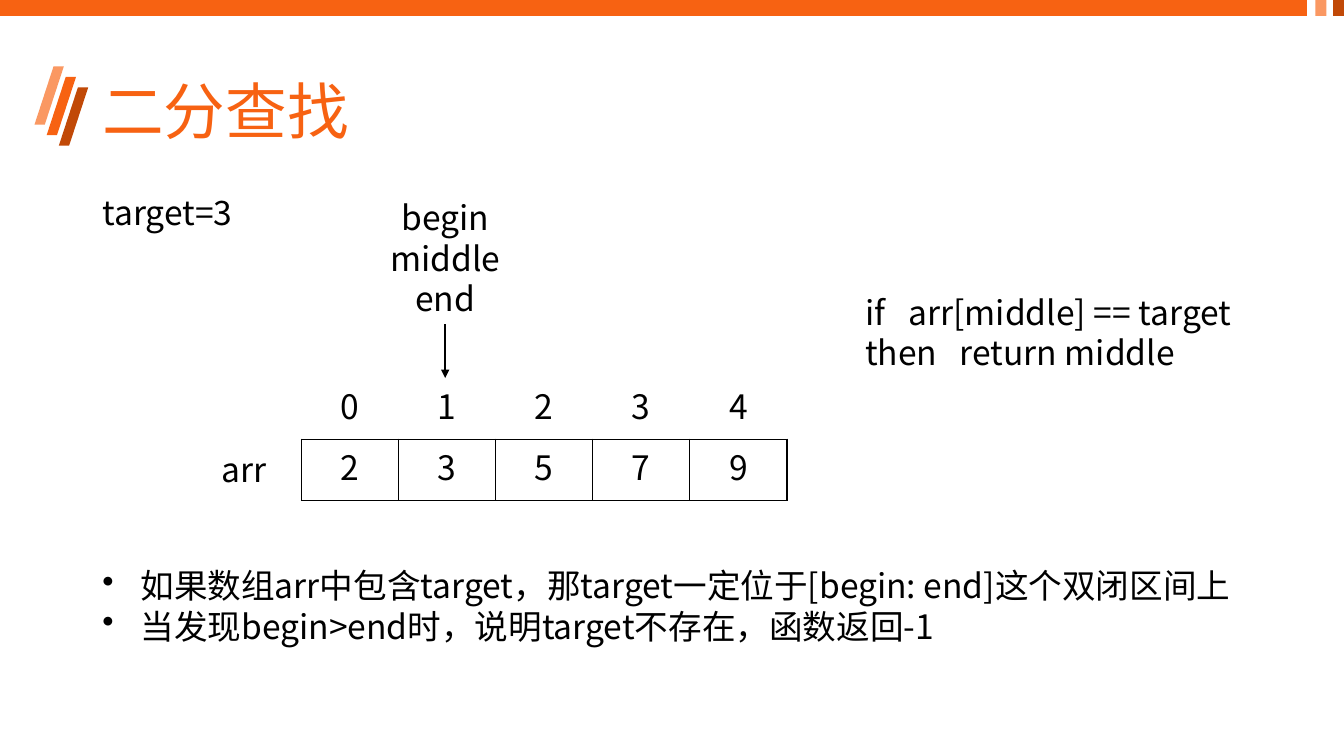
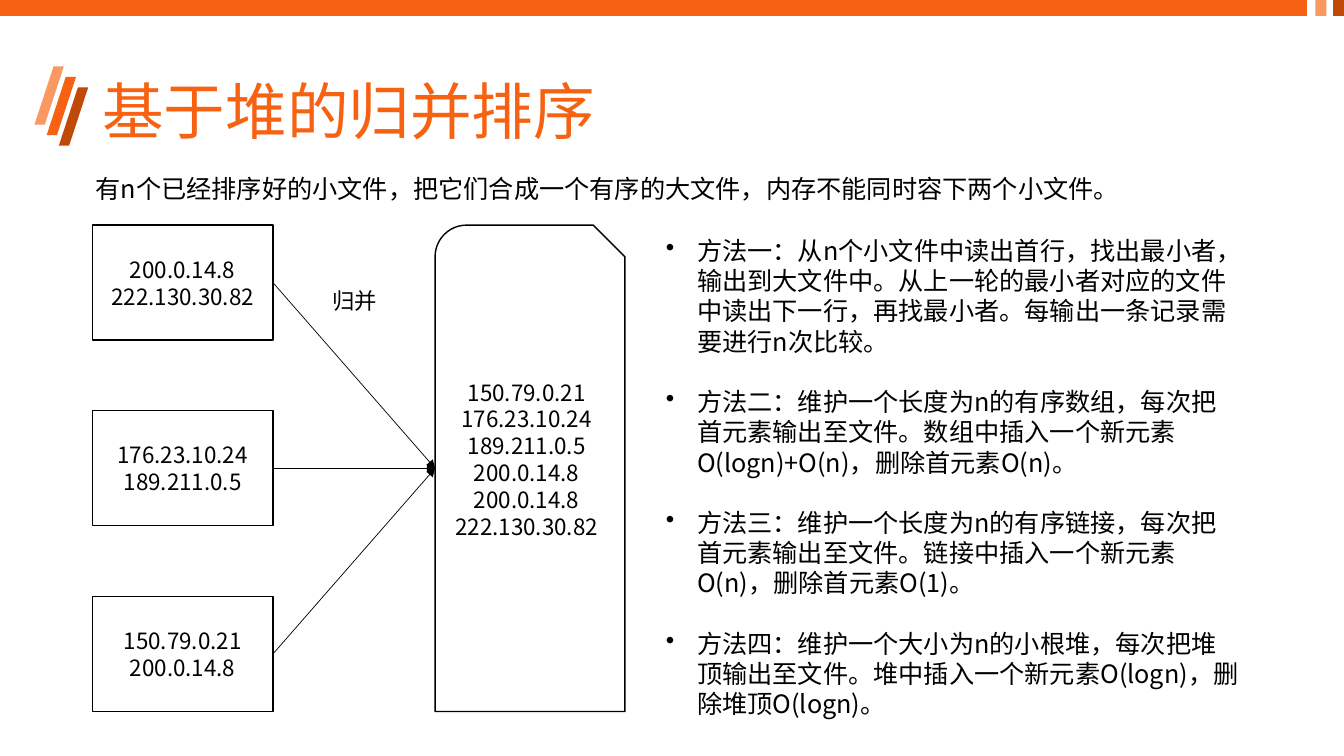
from dataclasses import dataclass
from typing import Any, Optional

from lxml import etree
from pptx import Presentation
from pptx import util as u
from pptx.dml.color import RGBColor
from pptx.enum import shapes, text
from pptx.oxml import ns

COLORS = {
    "orange": "F76212",
    "light": "FA9862",
    "dark": "C14907",
    "ink": "000000",
    "paper": "FFFFFF",
}
FONT = "Noto Sans CJK SC"
LINE_PITCH = 1.2
PLAIN_TABLE = "{2D5ABB26-0587-4C30-8999-92F81FD0307C}"

# The slide is a grid of 160 columns by 90 rows of square units.
COLUMNS, ROWS = 160, 90
SLIDE_HEIGHT = u.Inches(7.5)
UNIT = SLIDE_HEIGHT / ROWS

LEFT = u.Inches(0) + 11  # first content column
CENTER = text.PP_ALIGN.CENTER
MIDDLE = text.MSO_ANCHOR.MIDDLE


@dataclass(frozen=True)
class Area:
    """A rectangle in grid units."""
    left: float
    top: float
    width: float
    height: float

    def lengths(self) -> list[int]:
        return [grid(n) for n in (self.left, self.top, self.width, self.height)]

    @property
    def right(self) -> float:
        return self.left + self.width

    @property
    def center_row(self) -> float:
        return self.top + self.height / 2


@dataclass(frozen=True)
class Mark:
    kind: Any
    area: Area
    color: str


@dataclass(frozen=True)
class SourceFile:
    area: Area
    lines: list[str]


SLASH_STEP = (1.45, 1.25)
MARKS = [
    Mark(shapes.MSO_SHAPE.PARALLELOGRAM,
         Area(4.1 + i * SLASH_STEP[0], 7.9 + i * SLASH_STEP[1], 3.5, 6.95), color)
    for i, color in enumerate(("light", "orange", "dark"))
] + [
    Mark(shapes.MSO_SHAPE.RECTANGLE, Area(left, 0, width, 1.9), color)
    for left, width, color in ((0, 155.6, "orange"), (156.6, 1.3, "light"),
                               (158.7, 1.3, "dark"))
]


def grid(units: float) -> int:
    return round(units * UNIT)


def rgb(name: str) -> RGBColor:
    return RGBColor.from_string(COLORS[name])


def child(parent: Any, tag: str, **attributes: str) -> Any:
    return etree.SubElement(parent, ns.qn(tag), **attributes)


def write(frame: Any, lines: list[str], *, size: float = 24, color: str = "ink",
          align: Any = None, anchor: Any = None, wrap: bool = True,
          pitch: float = LINE_PITCH, bullet_indent: Optional[float] = None,
          gap: float = 0, tabs: Optional[list[float]] = None) -> None:
    """Fill a frame, one paragraph a line; indent and tabs are in inches, gap in points."""
    frame.word_wrap = wrap
    if anchor is not None:
        frame.vertical_anchor = anchor
    for i, line in enumerate(lines):
        paragraph = frame.paragraphs[0] if i == 0 else frame.add_paragraph()
        properties = paragraph._p.get_or_add_pPr()
        if bullet_indent:
            indent = u.Inches(bullet_indent)
            properties.set("marL", str(indent))
            properties.set("indent", str(-indent))
            child(properties, "a:buChar", char="•")
        if tabs:
            stops = child(properties, "a:tabLst")
            child(stops, "a:tab", pos=str(u.Inches(tabs[i])), algn="l")
        paragraph.line_spacing = u.Pt(size * pitch)
        if gap and i:
            paragraph.space_before = u.Pt(gap)
        if align is not None:
            paragraph.alignment = align
        run = paragraph.add_run()
        run.text = line
        run.font.size = u.Pt(size)
        run.font.name = FONT
        run.font.color.rgb = rgb(color)
        child(run._r.get_or_add_rPr(), "a:ea", typeface=FONT)


def add_text(slide: Any, area: Area, lines: list[str], **style: Any) -> None:
    write(slide.shapes.add_textbox(*area.lengths()).text_frame, lines, **style)


def add_shape(slide: Any, kind: Any, area: Area, fill: str,
              outline: Optional[str] = None) -> Any:
    shape = slide.shapes.add_shape(kind, *area.lengths())
    shape.shadow.inherit = False
    shape.fill.solid()
    shape.fill.fore_color.rgb = rgb(fill)
    if outline:
        shape.line.color.rgb = rgb(outline)
        shape.line.width = u.Pt(1)
    else:
        shape.line.fill.background()
    return shape


def add_arrow(slide: Any, start: tuple[float, float], end: tuple[float, float],
              width: float) -> None:
    connector = slide.shapes.add_connector(
        shapes.MSO_CONNECTOR.STRAIGHT, *(grid(n) for n in start + end))
    connector.line.color.rgb = rgb("ink")
    connector.line.width = u.Pt(width)
    child(connector.line._get_or_add_ln(), "a:tailEnd", type="triangle")
    child(connector._element.spPr, "a:effectLst")


def add_row(slide: Any, area: Area, values: list[str], bordered: bool) -> None:
    """Add a one-row table of equal columns."""
    table = slide.shapes.add_table(1, len(values), *area.lengths()).table
    table.first_row = table.horz_banding = False
    table._tbl.tblPr.find(ns.qn("a:tableStyleId")).text = PLAIN_TABLE
    for cell, value in zip(table.iter_cells(), values):
        write(cell.text_frame, [value], align=CENTER)
        cell.vertical_anchor = MIDDLE
        if bordered:
            for side in ("a:lnL", "a:lnR", "a:lnT", "a:lnB"):
                border = child(cell._tc.get_or_add_tcPr(), side, w=str(u.Pt(1)))
                child(child(border, "a:solidFill"), "a:srgbClr", val=COLORS["ink"])
        cell.fill.background()


def new_slide(presentation: Any, title: str) -> Any:
    """Add a blank slide with the shared bands, slashes and title."""
    slide = presentation.slides.add_slide(presentation.slide_layouts[6])
    for mark in MARKS:
        shape = add_shape(slide, mark.kind, mark.area, mark.color)
        if mark.kind == shapes.MSO_SHAPE.PARALLELOGRAM:
            shape.adjustments[0] = 0.65
    add_text(slide, Area(LEFT, 4.8, 138, 17.4), [title], size=44, color="orange",
             anchor=MIDDLE, pitch=0.9 * LINE_PITCH)
    return slide


def binary_search(presentation: Any) -> None:
    slide = new_slide(presentation, "二分查找")
    values = Area(35.9, 52.3, 57.8, 7.3)
    indexes = Area(values.left, values.top - values.height, values.width, values.height)
    pointers = Area(44, 22.9, 18, 15.7)
    pointer_column = pointers.left + pointers.width / 2

    add_text(slide, Area(LEFT, 22.2, 21.5, 6), ["target=3"])
    add_text(slide, pointers, ["begin", "middle", "end"], align=CENTER)
    add_row(slide, values, ["2", "3", "5", "7", "9"], bordered=True)
    add_row(slide, indexes, [str(i) for i in range(5)], bordered=False)
    add_arrow(slide, (pointer_column, pointers.top + pointers.height),
              (pointer_column, indexes.top), 1)
    add_text(slide, Area(25.2, 52.9, 8.5, 6), ["arr"])
    add_text(slide, Area(101.8, 34.1, 47.3, 10.9),
             ["if\tarr[middle] == target", "then\treturn middle"], tabs=[0.43, 0.94])
    add_text(slide, Area(LEFT, 66.7, 138, 10.9), [
        "如果数组arr中包含target，那target一定位于[begin: end]这个双闭区间上",
        "当发现begin>end时，说明target不存在，函数返回-1",
    ], bullet_indent=0.38)


def heap_merge(presentation: Any) -> None:
    slide = new_slide(presentation, "基于堆的归并排序")
    top, height, step = 26.8, 13.7, 22.1
    contents = [["200.0.14.8", "222.130.30.82"],
                ["176.23.10.24", "189.211.0.5"],
                ["150.79.0.21", "200.0.14.8"]]
    files = [SourceFile(Area(LEFT, top + i * step, 21.5, height), lines)
             for i, lines in enumerate(contents)]
    merged = Area(51.8, top, 22.6, 2 * step + height)

    add_text(slide, Area(10.2, 20, 125.4, 4.8),
             ["有n个已经排序好的小文件，把它们合成一个有序的大文件，内存不能同时容下两个小文件。"],
             size=18, wrap=False)
    add_text(slide, Area(78.1, 27.4, 70.8, 59.4), [
        "方法一：从n个小文件中读出首行，找出最小者，输出到大文件中。从上一轮的最小者对应的文件中读出下一行，再找最小者。每输出一条记录需要进行n次比较。",
        "方法二：维护一个长度为n的有序数组，每次把首元素输出至文件。数组中插入一个新元素O(logn)+O(n)，删除首元素O(n)。",
        "方法三：维护一个长度为n的有序链接，每次把首元素输出至文件。链接中插入一个新元素O(n)，删除首元素O(1)。",
        "方法四：维护一个大小为n的小根堆，每次把堆顶输出至文件。堆中插入一个新元素O(logn)，删除堆顶O(logn)。",
    ], size=18, bullet_indent=0.31, gap=18 * LINE_PITCH)

    for file in files:
        box = add_shape(slide, shapes.MSO_SHAPE.RECTANGLE, file.area, "paper", "ink")
        write(box.text_frame, file.lines, size=16, align=CENTER, anchor=MIDDLE)
    result = add_shape(slide, shapes.MSO_SHAPE.SNIP_ROUND_RECTANGLE, merged,
                       "paper", "ink")
    result.text_frame.margin_bottom = u.Inches(0.32)
    write(result.text_frame, [
        "150.79.0.21", "176.23.10.24", "189.211.0.5",
        "200.0.14.8", "200.0.14.8", "222.130.30.82",
    ], size=16, align=CENTER, anchor=MIDDLE)
    for file in files:
        add_arrow(slide, (file.area.right, file.area.center_row),
                  (merged.left, merged.center_row), 0.5)
    add_text(slide, Area(38.3, 33.6, 7.8, 4.4), ["归并"], size=16, align=CENTER,
             wrap=False)


def main() -> None:
    presentation = Presentation()
    presentation.slide_width = grid(COLUMNS)
    presentation.slide_height = SLIDE_HEIGHT
    binary_search(presentation)
    heap_merge(presentation)
    presentation.save("out.pptx")


if __name__ == "__main__":
    main()
